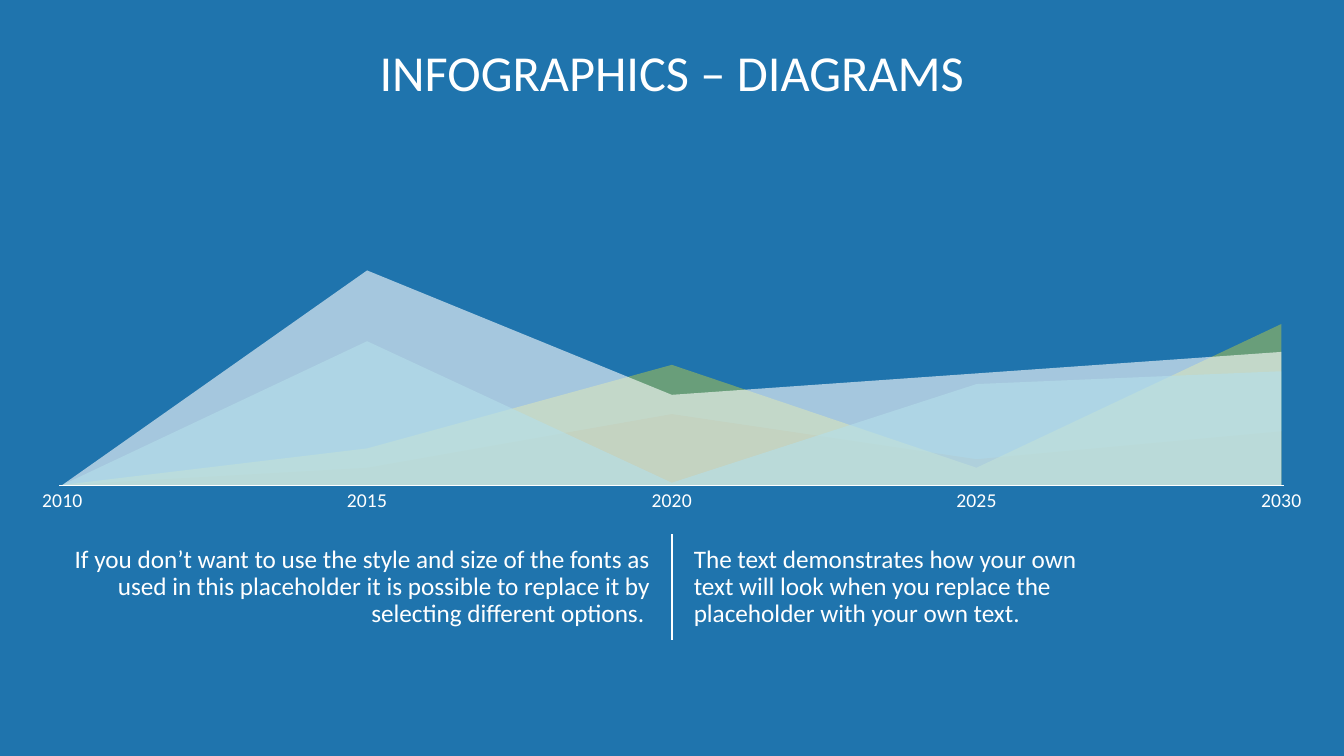
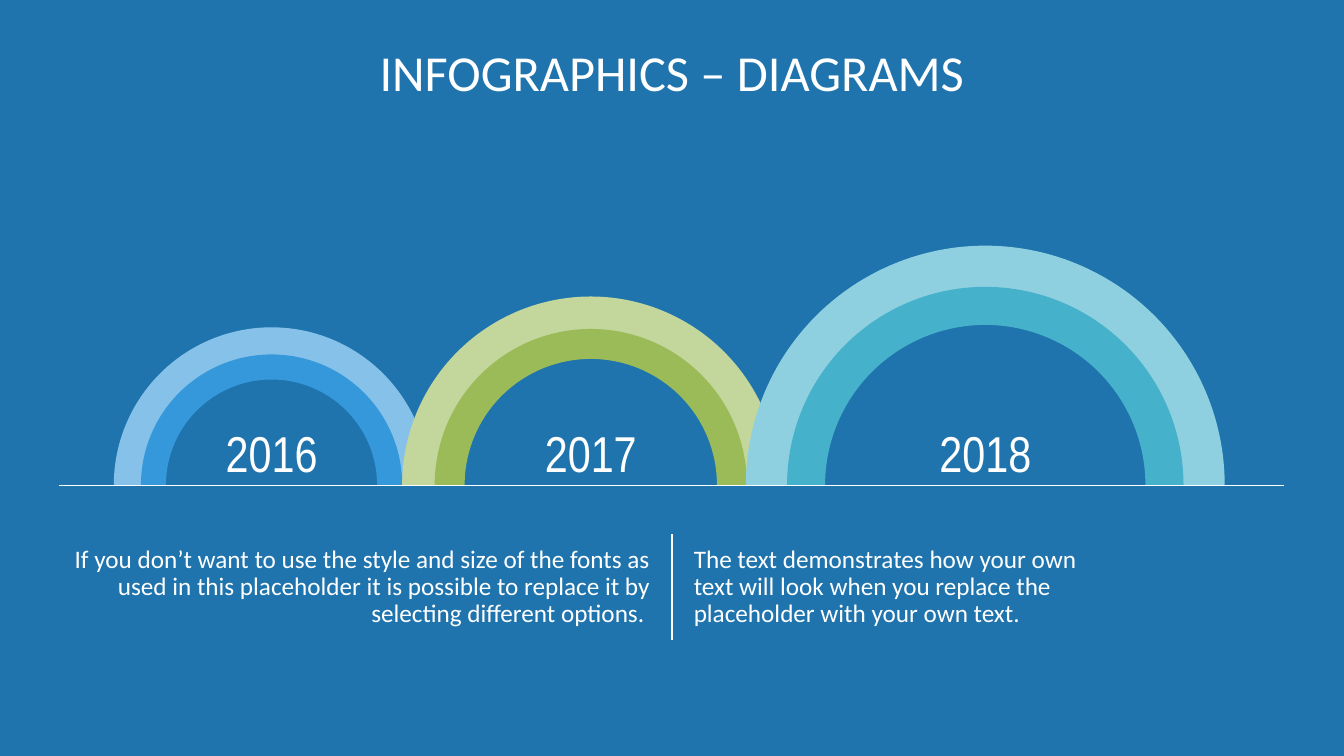
from lxml import etree
from pptx import Presentation
from pptx.chart.data import CategoryChartData
from pptx.dml.color import RGBColor
from pptx.enum.chart import XL_CHART_TYPE as CT, XL_TICK_MARK as TM
from pptx.enum.shapes import MSO_CONNECTOR as MC, MSO_SHAPE as SH
from pptx.enum.text import MSO_ANCHOR as MA, PP_ALIGN as PA
from pptx.oxml.ns import qn
from pptx.util import Pt

TITLE = "INFOGRAPHICS – DIAGRAMS"
LEFT_TEXT = ("If you don’t want to use the style and size of the fonts as used in this "
             "placeholder it is possible to replace it by selecting different options. ")
RIGHT_TEXT = ("The text demonstrates how your own \ntext will look when you replace the \n"
              "placeholder with your own text.")
YEARS = ["2010", "2015", "2020", "2025", "2030"]
SERIES = [
    ("Series 1", "FFFFFF", (0, 100, 42, 52, 62)),
    ("Series 2", "45B1CB", (0, 67, 1, 47, 53)),
    ("Series 3", "9BBB59", (0, 17, 56, 8, 75)),
    ("Series 4", "2C3E50", (0, 8, 33, 12, 25)),
]
ARCHES = [
    ("2016", 194, 225.4, "85C1E9", "3498DB"),
    ("2017", 422, 269.4, "C3D69B", "9BBB59"),
    ("2018", 703.8, 342, "8FD0E0", "45B1CB"),
]
BLUE, WHITE = "1F74AD", "FFFFFF"
WIDTH, HEIGHT = 960, 540
MARGIN, BASELINE = 42.5, 346.5
NOTE_TOP, NOTE_W, NOTE_H = 381.6, 429, 75.6
INNER_RATIO, BAND = 0.828, 0.096
CHART_BOX = (24.5, 146.9, 910.8, 247)
PLOT = {"x": 0.022, "y": 0.085, "w": 0.956, "h": 0.723}


def color(value):
    """Return the colour for a hex string."""
    return RGBColor.from_string(value)


def add_text(s, text, x, y, w, h, size=18, font="Calibri", align=PA.LEFT,
             anchor=MA.TOP, inset=None, wrap=True, after=0):
    """Add a text box whose lines break at each newline."""
    tf = s.shapes.add_textbox(Pt(x), Pt(y), Pt(w), Pt(h)).text_frame
    tf.word_wrap, tf.vertical_anchor = wrap, anchor
    if inset is not None:
        tf.margin_left = tf.margin_right = tf.margin_top = tf.margin_bottom = Pt(inset)
    p = tf.paragraphs[0]
    p.alignment, p.line_spacing, p.space_after = align, 0.9, Pt(after)
    for i, line in enumerate(text.split("\n")):
        if i:
            p.add_line_break()
        r = p.add_run()
        r.text = line
        r.font.size, r.font.name = Pt(size), font
        r.font.color.rgb = color(WHITE)


def add_line(s, x1, y1, x2, y2, weight):
    """Add a plain white line."""
    sp = s.shapes.add_connector(MC.STRAIGHT, Pt(x1), Pt(y1), Pt(x2), Pt(y2))
    sp.line.color.rgb, sp.line.width = color(WHITE), Pt(weight)
    etree.SubElement(sp._element.spPr, qn("a:effectLst"))


def add_area_chart(s):
    """Add the translucent area chart standing on the baseline."""
    data = CategoryChartData()
    data.categories = YEARS
    for name, _, values in SERIES:
        data.add_series(name, values)
    chart = s.shapes.add_chart(CT.AREA, *map(Pt, CHART_BOX), data).chart
    chart.has_legend = chart.has_title = False
    chart.font.name, chart.font.size = "Calibri", Pt(14)
    chart.font.color.rgb = color(WHITE)
    for series, (_, fill, _) in zip(chart.plots[0].series, SERIES):
        series.format.fill.solid()
        series.format.fill.fore_color.rgb = color(fill)
        series.format.line.fill.background()
        rgb = series._element.find(qn("c:spPr")).find(".//" + qn("a:srgbClr"))
        etree.SubElement(rgb, qn("a:alpha"), val="60000")
    cats, vals = chart.category_axis, chart.value_axis
    cats.major_tick_mark = cats.minor_tick_mark = TM.NONE
    cats.has_major_gridlines = vals.has_major_gridlines = False
    cats.format.line.fill.background()
    vals.minimum_scale, vals.maximum_scale, vals.visible = 0, 116.5, False
    vals._element.find(qn("c:crossBetween")).set("val", "midCat")
    set_plot_area(chart)


def set_plot_area(chart):
    """Fix the inner plot area as fractions of the chart."""
    area = chart._chartSpace.find(".//" + qn("c:plotArea"))
    for old in area.findall(qn("c:layout")):
        area.remove(old)
    layout = etree.Element(qn("c:layout"))
    area.insert(0, layout)
    manual = etree.SubElement(layout, qn("c:manualLayout"))
    settings = {"layoutTarget": "inner", "xMode": "edge", "yMode": "edge", **PLOT}
    for tag, value in settings.items():
        etree.SubElement(manual, qn("c:" + tag), val=str(value))


def add_arches(s):
    """Add the two-tone arches and the year inside each."""
    for year, center, size, outer, inner in ARCHES:
        for d, fill in ((size, outer), (size * INNER_RATIO, inner)):
            sp = s.shapes.add_shape(SH.BLOCK_ARC, Pt(center - d / 2),
                                    Pt(BASELINE - d / 2), Pt(d), Pt(d))
            for i, value in enumerate((108, 0, BAND)):
                sp.adjustments[i] = value
            sp.shadow.inherit = False
            sp.fill.solid()
            sp.fill.fore_color.rgb = color(fill)
            sp.line.fill.background()
    for year, center, *_ in ARCHES:
        add_text(s, year, center - 62.5, 271.5, 125, 74, size=36, font="Arial Narrow",
                 align=PA.CENTER, anchor=MA.BOTTOM, inset=0, wrap=False, after=10)


def add_slide(prs, draw):
    """Add a slide with the shared frame around one diagram."""
    s = prs.slides.add_slide(prs.slide_layouts[6])
    s.background.fill.solid()
    s.background.fill.fore_color.rgb = color(BLUE)
    draw(s)
    add_text(s, TITLE, MARGIN, 34, WIDTH - 2 * MARGIN, 85, size=36,
             align=PA.CENTER, inset=0)
    add_line(s, WIDTH / 2, NOTE_TOP, WIDTH / 2, NOTE_TOP + NOTE_H, 1.5)
    add_line(s, MARGIN, BASELINE, WIDTH - MARGIN, BASELINE, 0.5)
    for text, x, align in ((LEFT_TEXT, MARGIN, PA.RIGHT),
                           (RIGHT_TEXT, WIDTH - MARGIN - NOTE_W, PA.LEFT)):
        add_text(s, text, x, NOTE_TOP, NOTE_W, NOTE_H, align=align,
                 anchor=MA.MIDDLE, after=10)


def main():
    """Build and save the presentation."""
    prs = Presentation()
    prs.slide_width, prs.slide_height = Pt(WIDTH), Pt(HEIGHT)
    for draw in (add_area_chart, add_arches):
        add_slide(prs, draw)
    prs.save("out.pptx")


if __name__ == "__main__":
    main()
